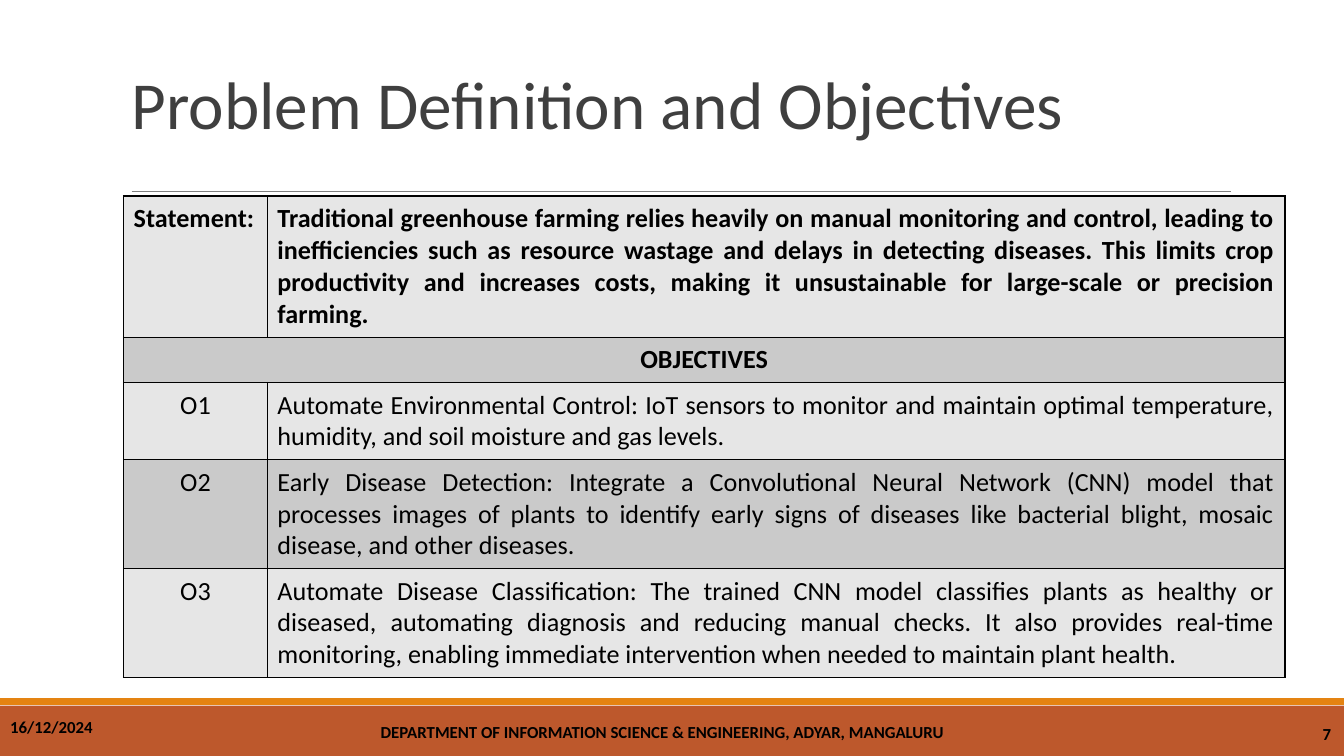
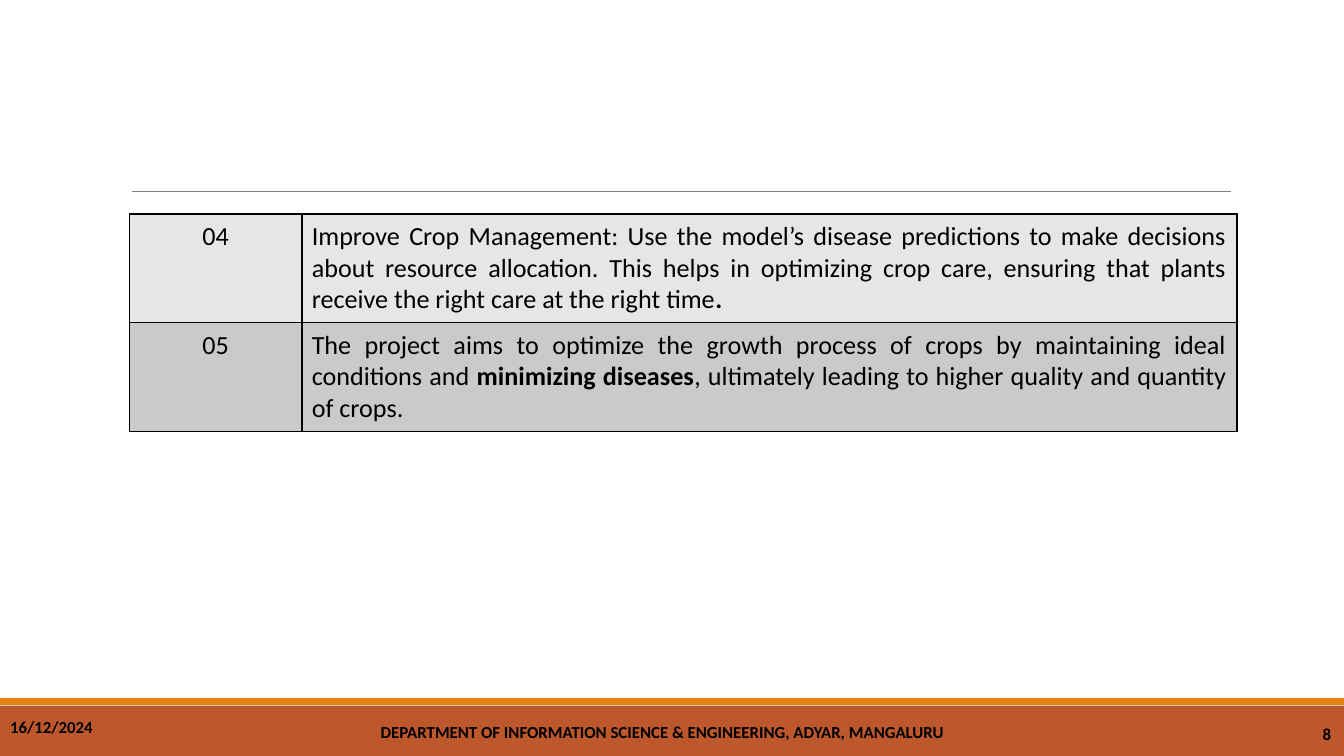
"""Build two slides on the problem statement and objectives of a greenhouse project."""
from dataclasses import dataclass
from typing import NamedTuple

import lxml.etree
import pptx
import pptx.dml.color
import pptx.enum.shapes
import pptx.enum.text
import pptx.oxml.ns
import pptx.presentation
import pptx.slide
import pptx.table
import pptx.text.text
import pptx.util

RGBColor = pptx.dml.color.RGBColor
Align = pptx.enum.text.PP_ALIGN
Anchor = pptx.enum.text.MSO_ANCHOR

EMU_PER_PX = 4572
SLIDE_WIDTH, SLIDE_HEIGHT = 2000, 1125
FONT = "Calibri"
BLACK = RGBColor(0x00, 0x00, 0x00)
TITLE_GREY = RGBColor(0x3F, 0x3F, 0x3F)
RULE_GREY = RGBColor(0x7F, 0x7F, 0x7F)
RUST = RGBColor(0xBD, 0x58, 0x2C)
ORANGE = RGBColor(0xE4, 0x83, 0x12)
LIGHT = RGBColor(0xE6, 0xE6, 0xE6)
DARK = RGBColor(0xCA, 0xCA, 0xCA)
BORDER_PT = 0.96


class Box(NamedTuple):
    left: int
    top: int
    width: int
    height: int


@dataclass(frozen=True)
class Band:
    box: Box
    color: RGBColor


@dataclass(frozen=True)
class FooterText:
    text: str
    box: Box
    align: Align
    anchor: Anchor


@dataclass(frozen=True)
class Row:
    label: str
    body: str
    height: int
    label_align: Align = Align.CENTER
    bold: bool = False


@dataclass(frozen=True)
class Grid:
    left: int
    top: int
    columns: tuple[int, int]
    rows: tuple[Row, ...]


BANDS = (
    Band(Box(0, 1050, SLIDE_WIDTH, 75), RUST),
    Band(Box(0, 1039, SLIDE_WIDTH, 10), ORANGE),
)
FOOTERS = (
    FooterText("DEPARTMENT OF INFORMATION SCIENCE & ENGINEERING, ADYAR, MANGALURU",
               Box(398, 1060, 1174, 59), Align.CENTER, Anchor.MIDDLE),
    FooterText("16/12/2024", Box(0, 1059, 160, 59), Align.LEFT, Anchor.TOP),
)
NUMBER_BOX = Box(1900, 1063, 96, 59)
TITLE_BOX = Box(181, 105, 1650, 114)

STATEMENT_GRID = Grid(184, 292, (214, 1514), (
    Row("Statement:",
        "Traditional greenhouse farming relies heavily on manual monitoring and control, "
        "leading to inefficiencies such as resource wastage and delays in detecting diseases. "
        "This limits crop productivity and increases costs, making it unsustainable for "
        "large-scale or precision farming.", 210, Align.LEFT, True),
    Row("OBJECTIVES", "", 66, bold=True),
    Row("O1",
        "Automate Environmental Control: IoT sensors to monitor and maintain optimal "
        "temperature, humidity, and soil moisture and gas levels.", 114),
    Row("O2",
        "Early Disease Detection: Integrate a Convolutional Neural Network (CNN) model that "
        "processes images of plants to identify early signs of diseases like bacterial blight, "
        "mosaic disease, and other diseases.", 162),
    Row("O3",
        "Automate Disease Classification: The trained CNN model classifies plants as healthy or "
        "diseased, automating diagnosis and reducing manual checks. It also provides real-time "
        "monitoring, enabling immediate intervention when needed to maintain plant health.", 162),
))
FURTHER_GRID = Grid(193, 318, (256, 1392), (
    Row("04",
        "Improve Crop Management: Use the model’s disease predictions to make decisions about "
        "resource allocation. This helps in optimizing crop care, ensuring that plants receive "
        "the right care at the right time**.**", 162),
    Row("05",
        "The project aims to optimize the growth process of crops by maintaining ideal "
        "conditions and **minimizing diseases**, ultimately leading to higher quality and "
        "quantity of crops.", 162),
))


def px(n: int) -> pptx.util.Emu:
    return pptx.util.Emu(n * EMU_PER_PX)


def emu(box: Box) -> list[pptx.util.Emu]:
    return [px(n) for n in box]


def style_run(r: pptx.text.text._Run, size: int, color: RGBColor, bold: bool) -> None:
    r.font.name = FONT
    r.font.size = pptx.util.Pt(size)
    r.font.color.rgb = color
    r.font.bold = bold


def set_text(tf: pptx.text.text.TextFrame, text: str, size: int, align: Align,
             color: RGBColor = BLACK, bold: bool = False) -> None:
    """Write one paragraph, with ** switching bold on and off."""
    p = tf.paragraphs[0]
    p.alignment = align
    first, *rest = text.split("**")
    p.text = first
    for part in filter(None, rest):
        p.add_run().text = part
    for i, r in enumerate(p.runs):
        style_run(r, size, color, bold or i % 2 == 1)


def frame_text(tf: pptx.text.text.TextFrame, anchor: Anchor) -> None:
    tf.word_wrap = True
    tf.auto_size = pptx.enum.text.MSO_AUTO_SIZE.NONE
    tf.vertical_anchor = anchor
    tf.margin_left = tf.margin_right = px(15)
    tf.margin_top = tf.margin_bottom = px(7)


def add_title(s: pptx.slide.Slide, text: str) -> None:
    sp = s.shapes.title
    sp.left, sp.top, sp.width, sp.height = emu(TITLE_BOX)
    frame_text(sp.text_frame, Anchor.MIDDLE)
    set_text(sp.text_frame, text, 36, Align.LEFT, TITLE_GREY)
    sp.text_frame.paragraphs[0].line_spacing = 0.85


def add_band(s: pptx.slide.Slide, band: Band) -> None:
    sp = s.shapes.add_shape(pptx.enum.shapes.MSO_SHAPE.RECTANGLE, *emu(band.box))
    sp.shadow.inherit = False
    sp.fill.solid()
    sp.fill.fore_color.rgb = band.color
    sp.line.fill.background()


def add_rule(s: pptx.slide.Slide) -> None:
    line = s.shapes.add_connector(pptx.enum.shapes.MSO_CONNECTOR.STRAIGHT,
                                  px(196), px(285), px(1832), px(285))
    line.line.color.rgb = RULE_GREY
    line.line.width = pptx.util.Pt(0.75)
    lxml.etree.SubElement(line._element.spPr, pptx.oxml.ns.qn("a:effectLst"))


def add_footer(s: pptx.slide.Slide, footer: FooterText) -> None:
    sp = s.shapes.add_textbox(*emu(footer.box))
    frame_text(sp.text_frame, footer.anchor)
    set_text(sp.text_frame, footer.text, 9, footer.align, bold=True)


def add_borders(cell: pptx.table._Cell) -> None:
    qn = pptx.oxml.ns.qn
    tc_pr = cell._tc.get_or_add_tcPr()
    for side in ("a:lnL", "a:lnR", "a:lnT", "a:lnB"):
        ln = lxml.etree.SubElement(tc_pr, qn(side), w=str(int(pptx.util.Pt(BORDER_PT))))
        fill = lxml.etree.SubElement(ln, qn("a:solidFill"))
        lxml.etree.SubElement(fill, qn("a:srgbClr"), val=str(BLACK))


def style_cell(cell: pptx.table._Cell, fill: RGBColor) -> None:
    cell.margin_left = cell.margin_right = px(15)
    cell.margin_top = cell.margin_bottom = px(10)
    add_borders(cell)
    cell.fill.solid()
    cell.fill.fore_color.rgb = fill


def add_grid(s: pptx.slide.Slide, grid: Grid) -> None:
    box = Box(grid.left, grid.top, sum(grid.columns), sum(row.height for row in grid.rows))
    table = s.shapes.add_table(len(grid.rows), len(grid.columns), *emu(box)).table
    table.first_row = table.horz_banding = False
    for column, width in zip(table.columns, grid.columns):
        column.width = px(width)
    for i, row in enumerate(grid.rows):
        table.rows[i].height = px(row.height)
        label, body = table.cell(i, 0), table.cell(i, 1)
        for cell in (label, body):
            style_cell(cell, DARK if i % 2 else LIGHT)
        set_text(label.text_frame, row.label, 14, row.label_align, bold=row.bold)
        if row.body:
            set_text(body.text_frame, row.body, 14, Align.JUSTIFY, bold=row.bold)
        else:
            label.merge(body)
            label.vertical_anchor = Anchor.MIDDLE


def add_slide(prs: pptx.presentation.Presentation, number: int, grid: Grid,
              title: str = "") -> None:
    s = prs.slides.add_slide(prs.slide_layouts[5 if title else 6])
    for band in BANDS:
        add_band(s, band)
    add_rule(s)
    if title:
        add_title(s, title)
    add_grid(s, grid)
    number_text = FooterText(str(number), NUMBER_BOX, Align.RIGHT, Anchor.MIDDLE)
    for footer in (*FOOTERS, number_text):
        add_footer(s, footer)


def main() -> None:
    prs = pptx.Presentation()
    prs.slide_width, prs.slide_height = px(SLIDE_WIDTH), px(SLIDE_HEIGHT)
    add_slide(prs, 7, STATEMENT_GRID, "Problem Definition and Objectives")
    add_slide(prs, 8, FURTHER_GRID)
    prs.save("out.pptx")


if __name__ == "__main__":
    main()
